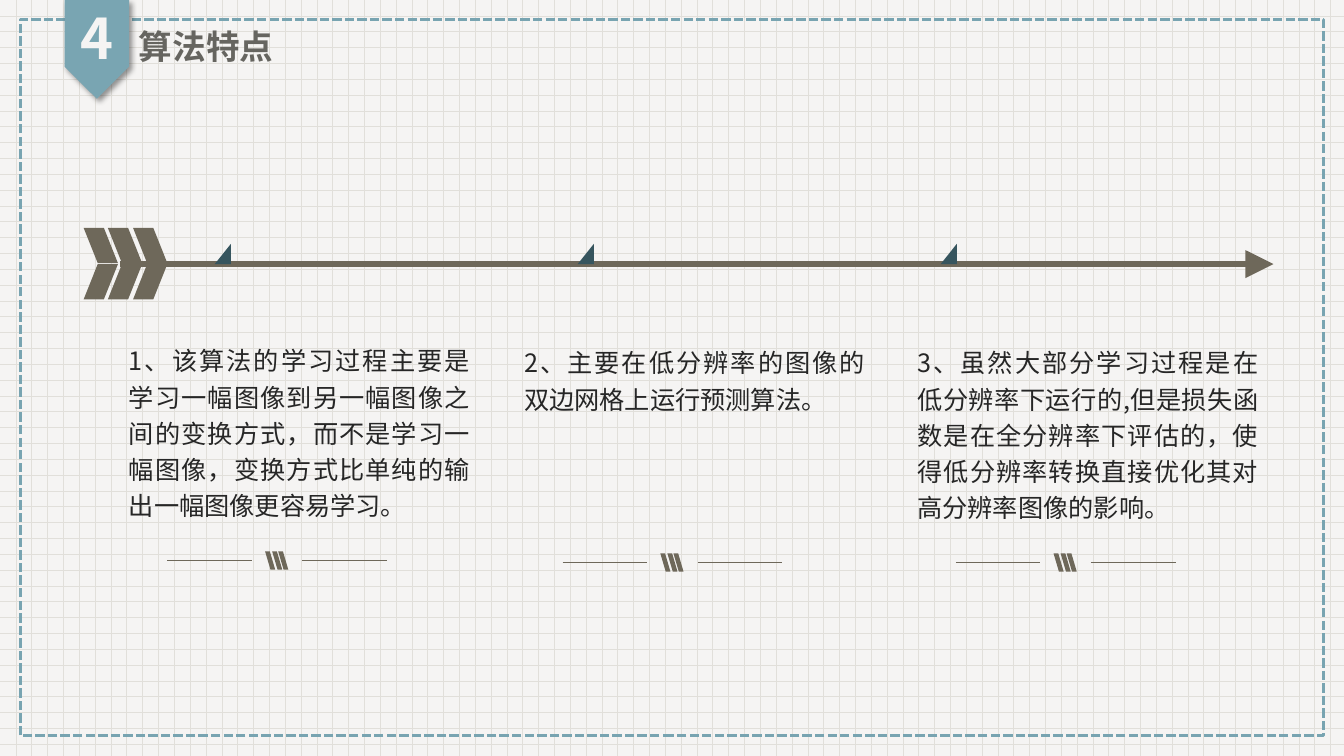
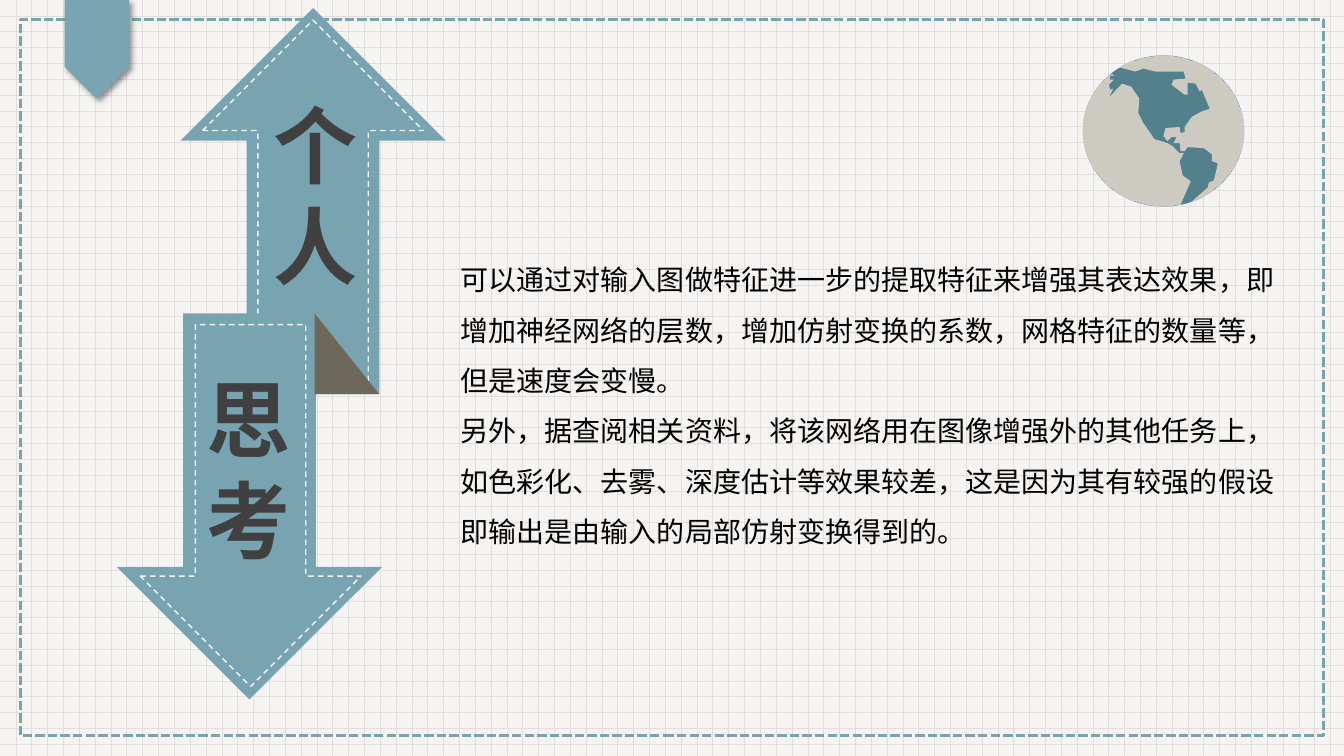
"""Build two slides: algorithm features on a timeline, and personal reflections."""
import math
from dataclasses import dataclass
from typing import Optional

import lxml.etree
import pptx
import pptx.dml.color
import pptx.enum.dml
import pptx.enum.shapes
import pptx.enum.text
import pptx.oxml.ns
import pptx.util

PX = 9144
FONT = "Noto Sans CJK SC"
RGB = pptx.dml.color.RGBColor
PAPER = RGB(0xF5, 0xF4, 0xF3)
GRID = RGB(0xE1, 0xDF, 0xDA)
TEAL = RGB(0x78, 0xA4, 0xB1)
RIBBON = RGB(0x79, 0xA5, 0xB2)
DARK_TEAL = RGB(0x36, 0x55, 0x5E)
LAND = RGB(0x52, 0x80, 0x8D)
SEA = RGB(0xCD, 0xCA, 0xC2)
BROWN = RGB(0x6E, 0x68, 0x5A)
TITLE_GREY = RGB(0x66, 0x65, 0x60)
CHARCOAL = RGB(0x40, 0x40, 0x40)
INK = RGB(0x26, 0x26, 0x26)
BLACK = RGB(0, 0, 0)

Shape = pptx.enum.shapes.MSO_SHAPE
Dash = pptx.enum.dml.MSO_LINE
Align = pptx.enum.text.PP_ALIGN
Anchor = pptx.enum.text.MSO_ANCHOR
Slide = pptx.slide.Slide


@dataclass(frozen=True)
class Box:
    left: int
    top: int
    width: int
    height: int

    def emu(self) -> tuple[int, int, int, int]:
        return self.left * PX, self.top * PX, self.width * PX, self.height * PX


@dataclass(frozen=True)
class TextStyle:
    size: int
    color: RGB
    bold: bool = False
    align: Align = Align.LEFT
    spacing: float = 1.0
    before: int = 0
    anchor: Anchor = Anchor.TOP


@dataclass(frozen=True)
class Outline:
    color: RGB
    width: float
    dash: Dash


@dataclass(frozen=True)
class Feature:
    left: int
    top: int
    height: int
    text: str


@dataclass(frozen=True)
class ReflectionArrow:
    kind: Shape
    body: Box
    stitching: Box


@dataclass(frozen=True)
class Sea:
    shore: tuple[tuple[int, int], ...]
    arc_start: int
    arc_end: int


NUMBER = TextStyle(40, PAPER, True, Align.CENTER, 0.9, 10, Anchor.MIDDLE)
TITLE = TextStyle(24, TITLE_GREY, True, Align.LEFT, 0.9, 10, Anchor.MIDDLE)
FEATURE = TextStyle(18, INK, align=Align.JUSTIFY, spacing=1.2)
REFLECTION = TextStyle(20, BLACK, spacing=1.5)
BIG_WORD = TextStyle(60, CHARCOAL, True)
FRAME = Outline(TEAL, 2.25, Dash.SQUARE_DOT)
STITCH = Outline(PAPER, 1, Dash.DASH)

FEATURES = (
    Feature(118, 332, 189, "1、该算法的学习过程主要是学习一幅图像到另一幅图像之间的变换方式，而不是学习一幅图像，变换方式比单纯的输出一幅图像更容易学习。"),
    Feature(510, 334, 80, "2、主要在低分辨率的图像的双边网格上运行预测算法。"),
    Feature(900, 334, 189, "3、虽然大部分学习过程是在低分辨率下运行的,但是损失函数是在全分辨率下评估的，使得低分辨率转换直接优化其对高分辨率图像的影响。"),
)
REFLECTIONS = (
    "可以通过对输入图做特征进一步的提取特征来增强其表达效果，即增加神经网络的层数，增加仿射变换的系数，网格特征的数量等，但是速度会变慢。",
    "另外，据查阅相关资料，将该网络用在图像增强外的其他任务上，如色彩化、去雾、深度估计等效果较差，这是因为其有较强的假设即输出是由输入的局部仿射变换得到的。",
)
ARROWS = (
    ReflectionArrow(Shape.UP_ARROW, Box(179, 8, 263, 383), Box(201, 20, 219, 359)),
    ReflectionArrow(Shape.DOWN_ARROW, Box(116, 311, 263, 383), Box(139, 322, 219, 359)),
)
GLOBE = Box(1074, 55, 160, 150)
SEAS = (
    Sea(((1181, 180), (1173, 174), (1170, 160), (1174, 152), (1170, 152),
         (1163, 145), (1158, 142), (1145, 138), (1134, 122), (1129, 112),
         (1130, 98), (1122, 86), (1113, 83), (1108, 88), (1100, 97),
         (1104, 88), (1101, 89), (1100, 84), (1105, 79), (1101, 79),
         (1101, 75), (1105, 75)), 230, 78),
    Sea(((1111, 67), (1126, 71), (1134, 68), (1146, 71), (1174, 71),
         (1176, 78), (1164, 79), (1162, 84), (1175, 94), (1178, 94),
         (1178, 82), (1186, 83), (1190, 91), (1192, 89), (1200, 108),
         (1191, 111), (1182, 116), (1175, 126), (1175, 131), (1171, 132),
         (1170, 126), (1156, 127), (1154, 135), (1158, 140), (1162, 136),
         (1167, 136), (1164, 142), (1170, 142), (1171, 150), (1175, 150),
         (1178, 146), (1194, 147), (1202, 153), (1202, 160), (1208, 162),
         (1204, 179), (1199, 181), (1198, 186), (1182, 200)), 70, -123),
)


def add_node(parent: lxml.etree.ElementBase, tag: str, **attributes: str) -> lxml.etree.ElementBase:
    node = lxml.etree.SubElement(parent, pptx.oxml.ns.qn(tag))
    for name, value in attributes.items():
        node.set(name, value)
    return node


def draw_shape(slide: Slide, kind: Shape, box: Box, fill: Optional[RGB] = None,
               outline: Optional[Outline] = None) -> pptx.shapes.autoshape.Shape:
    shape = slide.shapes.add_shape(kind, *box.emu())
    shape.shadow.inherit = False
    if fill is None:
        shape.fill.background()
    else:
        shape.fill.solid()
        shape.fill.fore_color.rgb = fill
    if outline is None:
        shape.line.fill.background()
    else:
        shape.line.color.rgb = outline.color
        shape.line.width = pptx.util.Pt(outline.width)
        shape.line.dash_style = outline.dash
    return shape


def draw_slant(slide: Slide, box: Box, slope: float, flipped: bool) -> None:
    shape = draw_shape(slide, Shape.PARALLELOGRAM, box, BROWN)
    shape.adjustments[0] = slope
    if flipped:
        shape._element.spPr.find(pptx.oxml.ns.qn("a:xfrm")).set("flipH", "1")


def draw_text(slide: Slide, box: Box, lines: tuple[str, ...], style: TextStyle) -> None:
    text_frame = slide.shapes.add_textbox(*box.emu()).text_frame
    text_frame.word_wrap = True
    text_frame.vertical_anchor = style.anchor
    text_frame.text = "\n".join(lines)
    for paragraph in text_frame.paragraphs:
        paragraph.alignment = style.align
        paragraph.line_spacing = style.spacing
        paragraph.space_before = pptx.util.Pt(style.before)
        for run in paragraph.runs:
            run.font.size = pptx.util.Pt(style.size)
            run.font.bold = style.bold
            run.font.color.rgb = style.color
            run.font.name = FONT
            properties = run._r.get_or_add_rPr()
            properties.set("lang", "zh-CN")
            add_node(properties, "a:ea", typeface=FONT)


def draw_rule(slide: Slide, left: int, right: int, y: int, width: float, arrow: bool = False) -> None:
    connector = slide.shapes.add_connector(
        pptx.enum.shapes.MSO_CONNECTOR.STRAIGHT, left * PX, y * PX, right * PX, y * PX)
    connector.line.color.rgb = BROWN
    connector.line.width = pptx.util.Pt(width)
    if arrow:
        add_node(connector.line._get_or_add_ln(), "a:tailEnd", type="triangle", w="lg", len="lg")
    add_node(connector._element.spPr, "a:effectLst")


def add_framed_slide(presentation: pptx.presentation.Presentation) -> Slide:
    slide = presentation.slides.add_slide(presentation.slide_layouts[6])
    background = slide.background.fill
    background.patterned()
    background.pattern = pptx.enum.dml.MSO_PATTERN.DOTTED_GRID
    background.fore_color.rgb = GRID
    background.back_color.rgb = PAPER
    draw_shape(slide, Shape.RECTANGLE, Box(20, 19, 1293, 711), outline=FRAME)
    ribbon = draw_shape(slide, Shape.PENTAGON, Box(47, 17, 98, 64), RIBBON)
    ribbon.rotation = 90
    effects = ribbon._element.spPr.find(pptx.oxml.ns.qn("a:effectLst"))
    shadow = add_node(effects, "a:outerShdw", blurRad="50800", dist="38100",
                      dir="2700000", algn="tl", rotWithShape="0")
    add_node(add_node(shadow, "a:srgbClr", val="000000"), "a:alpha", val="40000")
    return slide


def draw_timeline(slide: Slide) -> None:
    draw_rule(slide, 119, 1263, 262, 4, arrow=True)
    for top, flipped in ((226, True), (262, False)):
        for index in range(3):
            draw_slant(slide, Box(83 + 49 * index // 2, top, 34, 35), 0.41, flipped)
    for index in range(3):
        marker = draw_shape(slide, Shape.ISOSCELES_TRIANGLE, Box(213 + 360 * index, 242, 16, 20), DARK_TEAL)
        marker.adjustments[0] = 1


def draw_feature(slide: Slide, feature: Feature) -> None:
    draw_text(slide, Box(feature.left, feature.top, 358, feature.height), (feature.text,), FEATURE)
    left, y = feature.left + 48, feature.top + 224
    for start in (left, left + 134):
        draw_rule(slide, start, start + 84, y, 0.5)
    for index in range(3):
        draw_slant(slide, Box(left + 97 + (13 * index + 1) // 2, y - 9, 10, 18), 0.53, True)


def draw_globe(slide: Slide) -> None:
    draw_shape(slide, Shape.OVAL, GLOBE, LAND)
    radius_x, radius_y = GLOBE.width // 2, GLOBE.height // 2
    for sea in SEAS:
        arc = [(round(GLOBE.left + radius_x * (1 + math.cos(math.radians(degrees)))),
                round(GLOBE.top + radius_y * (1 + math.sin(math.radians(degrees)))))
               for degrees in range(sea.arc_start, sea.arc_end - 1, -4)]
        if sea.arc_start > 180:
            arc.reverse()
        outline = list(sea.shore) + (arc[::-1] if sea.arc_start > 180 else arc)
        builder = slide.shapes.build_freeform(*outline[0], scale=PX)
        builder.add_line_segments(outline[1:], close=True)
        shape = builder.convert_to_shape()
        shape.shadow.inherit = False
        shape.fill.solid()
        shape.fill.fore_color.rgb = SEA
        shape.line.fill.background()


def draw_arrows(slide: Slide) -> None:
    for arrow in ARROWS:
        draw_shape(slide, arrow.kind, arrow.body, TEAL)
        draw_shape(slide, arrow.kind, arrow.stitching, outline=STITCH)
    draw_shape(slide, Shape.RIGHT_TRIANGLE, Box(312, 311, 64, 80), BROWN)
    draw_text(slide, Box(261, 88, 115, 212), ("个", "人"), BIG_WORD)
    draw_text(slide, Box(195, 360, 115, 212), ("思", "考"), BIG_WORD)


def main() -> None:
    presentation = pptx.Presentation()
    presentation.slide_width = 1333 * PX
    presentation.slide_height = 750 * PX

    features = add_framed_slide(presentation)
    draw_text(features, Box(64, 0, 64, 82), ("4",), NUMBER)
    draw_text(features, Box(128, 23, 460, 51), ("算法特点",), TITLE)
    draw_timeline(features)
    for feature in FEATURES:
        draw_feature(features, feature)

    reflections = add_framed_slide(presentation)
    draw_globe(reflections)
    draw_text(reflections, Box(447, 239, 849, 307), REFLECTIONS, REFLECTION)
    draw_arrows(reflections)

    presentation.save("out.pptx")


if __name__ == "__main__":
    main()
